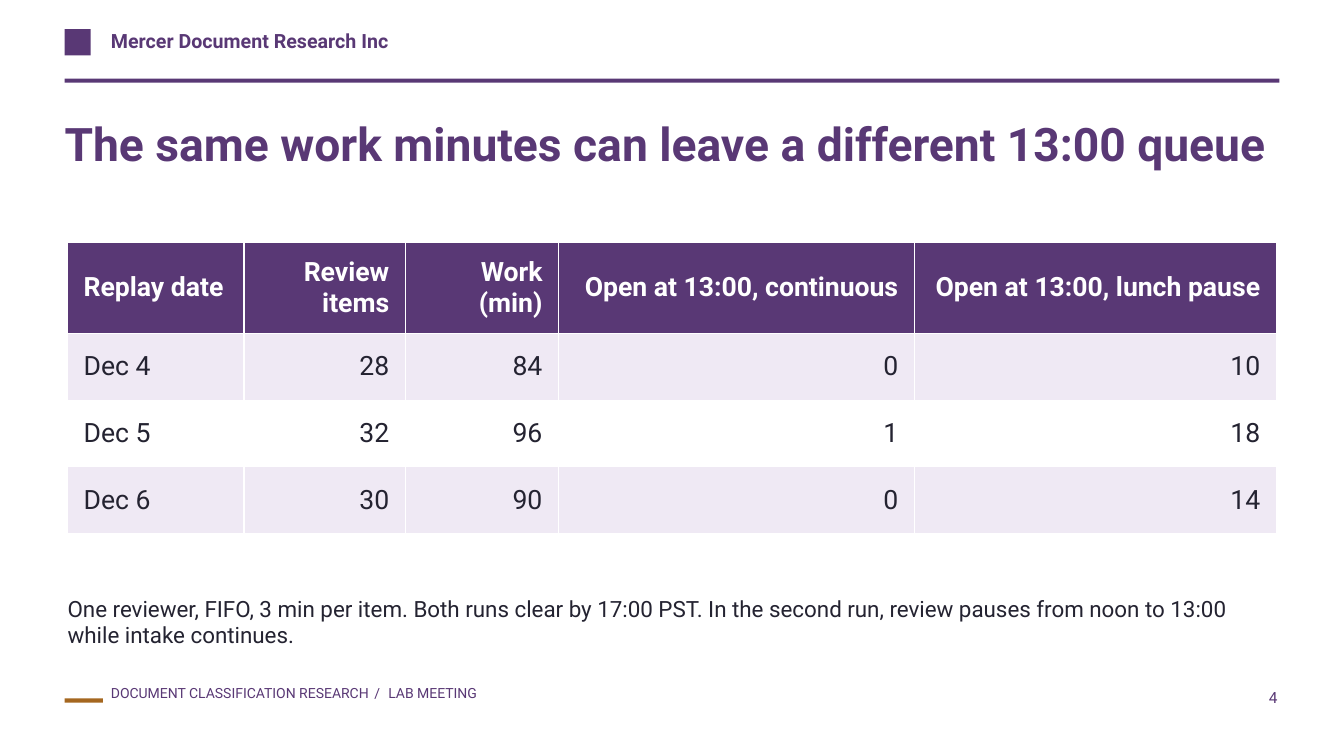
from pptx import Presentation
from pptx.dml.color import RGBColor
from pptx.enum.shapes import MSO_SHAPE as Shape
from pptx.enum.text import MSO_ANCHOR as Anchor, PP_ALIGN as Align
from pptx.util import Inches, Pt

PURPLE = RGBColor(0x59, 0x38, 0x75)
OCHRE = RGBColor(0xA5, 0x67, 0x20)
LILAC = RGBColor(0xEF, 0xE9, 0xF4)
INK = RGBColor(0x24, 0x23, 0x31)
WHITE = RGBColor(0xFF, 0xFF, 0xFF)
FONT = "Roboto"

# Page grid, in inches
WIDTH, HEIGHT = 13.33, 7.5
LEFT, CONTENT_WIDTH = 0.64, 12.05
LABEL_INDENT = 0.46  # from the margin to the header and footer labels
RULE = 0.04
TABLE_INSET = 0.03

COLUMNS = [1.75, 1.6, 1.52, 3.53, 3.59]
HEADER_ROW, BODY_ROW = 0.91, 0.66
REPLAYS = [
    ["Replay date", "Review items", "Work (min)",
     "Open at 13:00, continuous", "Open at 13:00, lunch pause"],
    ["Dec 4", "28", "84", "0", "10"],
    ["Dec 5", "32", "96", "1", "18"],
    ["Dec 6", "30", "90", "0", "14"],
]


def add_span(para, text, size=16, color=INK, bold=False, spacing=None):
    span = para.add_run()
    span.text = text
    span.font.name = FONT
    span.font.size = Pt(size)
    span.font.bold = bold
    span.font.color.rgb = color
    if spacing:
        span.font._element.set("spc", str(spacing))


def add_text(page, box, text, align=Align.LEFT, after=0, **style):
    frame = page.shapes.add_textbox(*map(Inches, box)).text_frame
    frame.word_wrap = True
    frame.margin_left = frame.margin_right = 0
    frame.margin_top = frame.margin_bottom = 0
    para = frame.paragraphs[0]
    para.alignment = align
    para.space_after = Pt(after)
    add_span(para, text, **style)
    return para


def add_block(page, box, color):
    block = page.shapes.add_shape(Shape.RECTANGLE, *map(Inches, box))
    block.shadow.inherit = False
    block.fill.solid()
    block.fill.fore_color.rgb = color
    block.line.fill.background()


def add_header(page, left, top, width):
    # One plain square stands for the mark
    add_block(page, (left, top, 0.26, 0.26), PURPLE)
    add_text(page, (left + LABEL_INDENT, top, 3.1, 0.3),
             "Mercer Document Research Inc", size=14, color=PURPLE, bold=True)
    add_block(page, (left, top + 0.49, width, RULE), PURPLE)


def add_replay_table(page, left, top):
    height = HEADER_ROW + BODY_ROW * (len(REPLAYS) - 1)
    table = page.shapes.add_table(
        len(REPLAYS), len(COLUMNS),
        *map(Inches, (left, top, sum(COLUMNS), height))).table
    for column, width in zip(table.columns, COLUMNS):
        column.width = Inches(width)
    for row_no, values in enumerate(REPLAYS):
        is_header = row_no == 0
        table.rows[row_no].height = Inches(HEADER_ROW if is_header else BODY_ROW)
        fill = PURPLE if is_header else LILAC if row_no % 2 else WHITE
        for col_no, value in enumerate(values):
            cell = table.cell(row_no, col_no)
            cell.fill.solid()
            cell.fill.fore_color.rgb = fill
            cell.vertical_anchor = Anchor.MIDDLE
            cell.margin_left = cell.margin_right = Inches(0.16)
            cell.margin_top = cell.margin_bottom = Inches(0.07)
            para = cell.text_frame.paragraphs[0]
            para.alignment = Align.RIGHT if col_no else Align.LEFT
            add_span(para, value, size=19, bold=is_header,
                     color=WHITE if is_header else INK)


def add_footer(page, left, top, width, number):
    add_block(page, (left, top + 0.14, 0.38, RULE), OCHRE)
    small = {"size": 10, "color": PURPLE}
    para = add_text(page, (left + LABEL_INDENT, top, 4.3, 0.35),
                    "DOCUMENT CLASSIFICATION RESEARCH", **small)
    add_span(para, " / ", spacing=167, **small)
    add_span(para, "LAB MEETING", **small)
    add_text(page, (left + width - 0.59, top + 0.04, 0.57, 0.24), number,
             align=Align.RIGHT, size=11, color=PURPLE)


def build_table_slide(deck):
    page = deck.slides.add_slide(deck.slide_layouts[6])
    add_header(page, LEFT, 0.29, CONTENT_WIDTH)
    add_text(page, (LEFT, 1.14, CONTENT_WIDTH, 0.82),
             "The same work minutes can leave a different 13:00 queue",
             after=8, size=33, color=PURPLE, bold=True)
    add_replay_table(page, LEFT + TABLE_INSET, 2.4)
    add_text(page, (LEFT + TABLE_INSET, 5.9, sum(COLUMNS), 0.58),
             "One reviewer, FIFO, 3 min per item. Both runs clear by 17:00 PST. "
             "In the second run, review pauses from noon to 13:00 while intake "
             "continues.", after=8)
    add_footer(page, LEFT, 6.79, CONTENT_WIDTH, "4")


def main():
    deck = Presentation()
    deck.slide_width, deck.slide_height = Inches(WIDTH), Inches(HEIGHT)
    build_table_slide(deck)
    deck.save("out.pptx")


if __name__ == "__main__":
    main()
